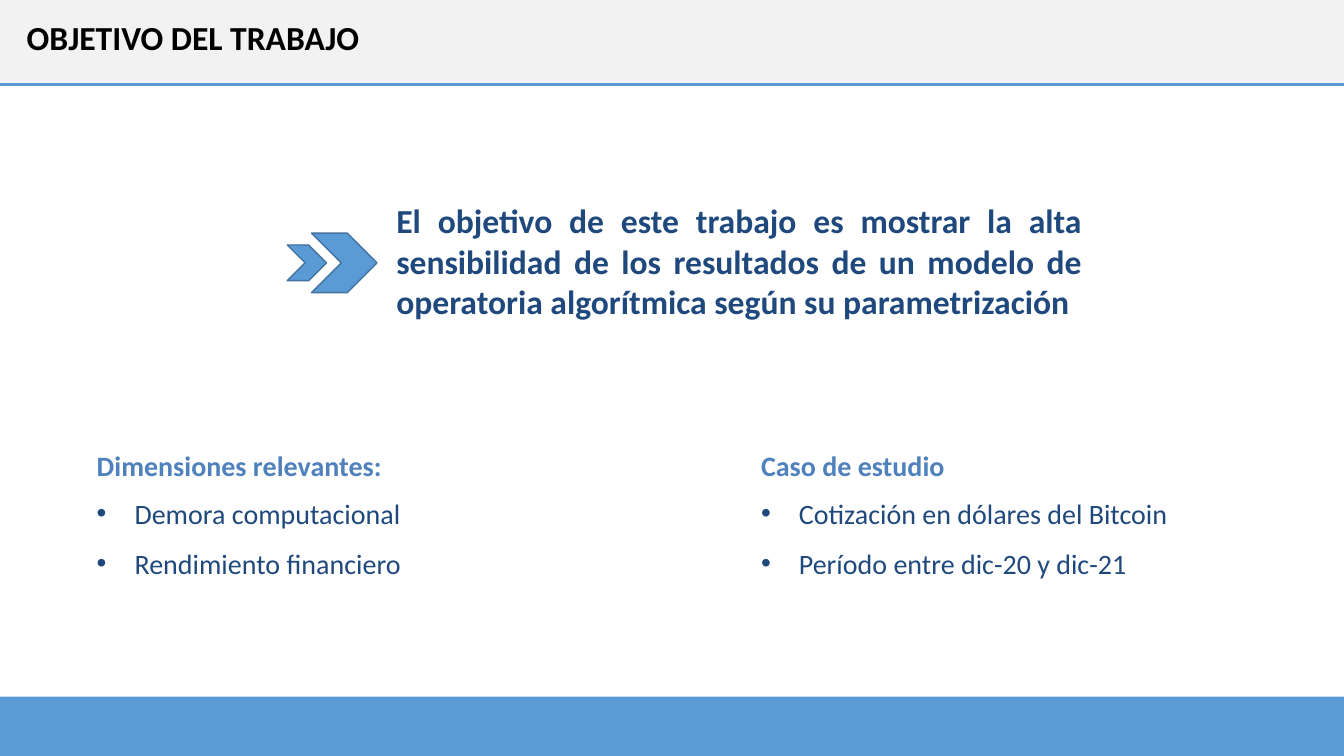
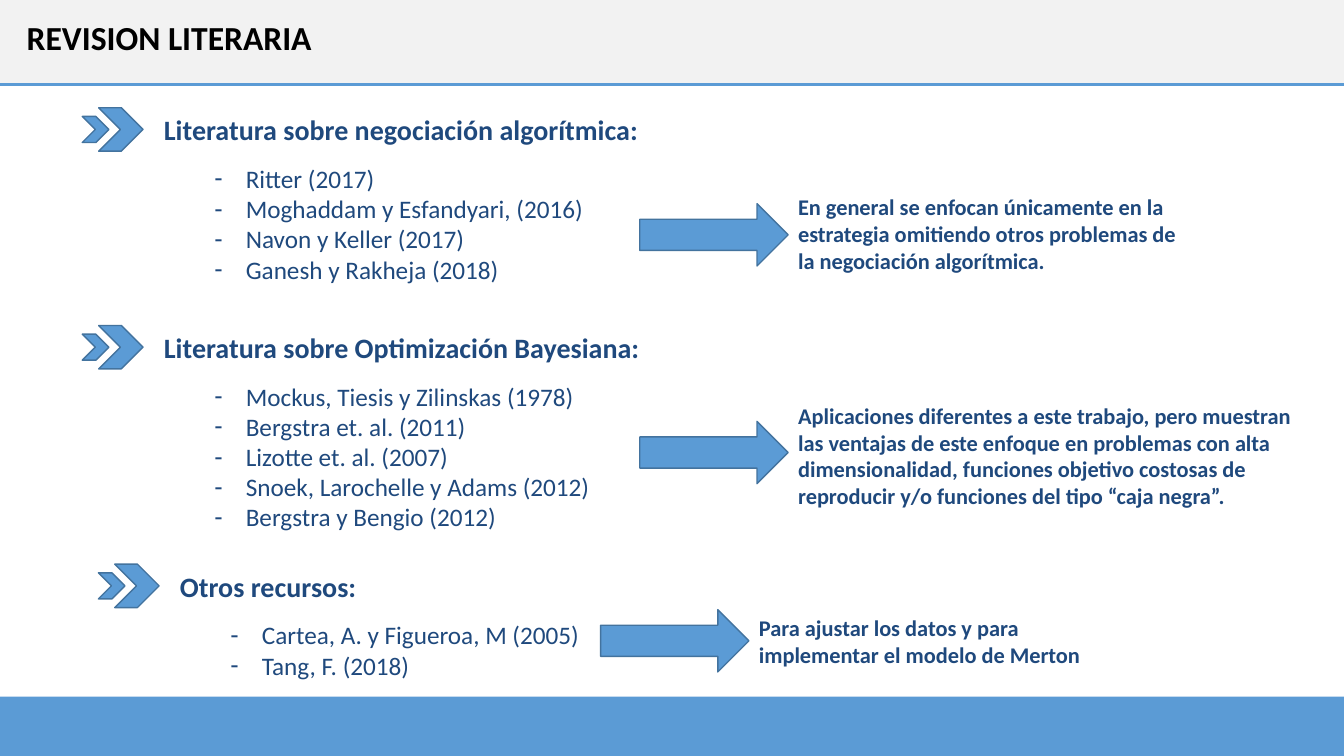
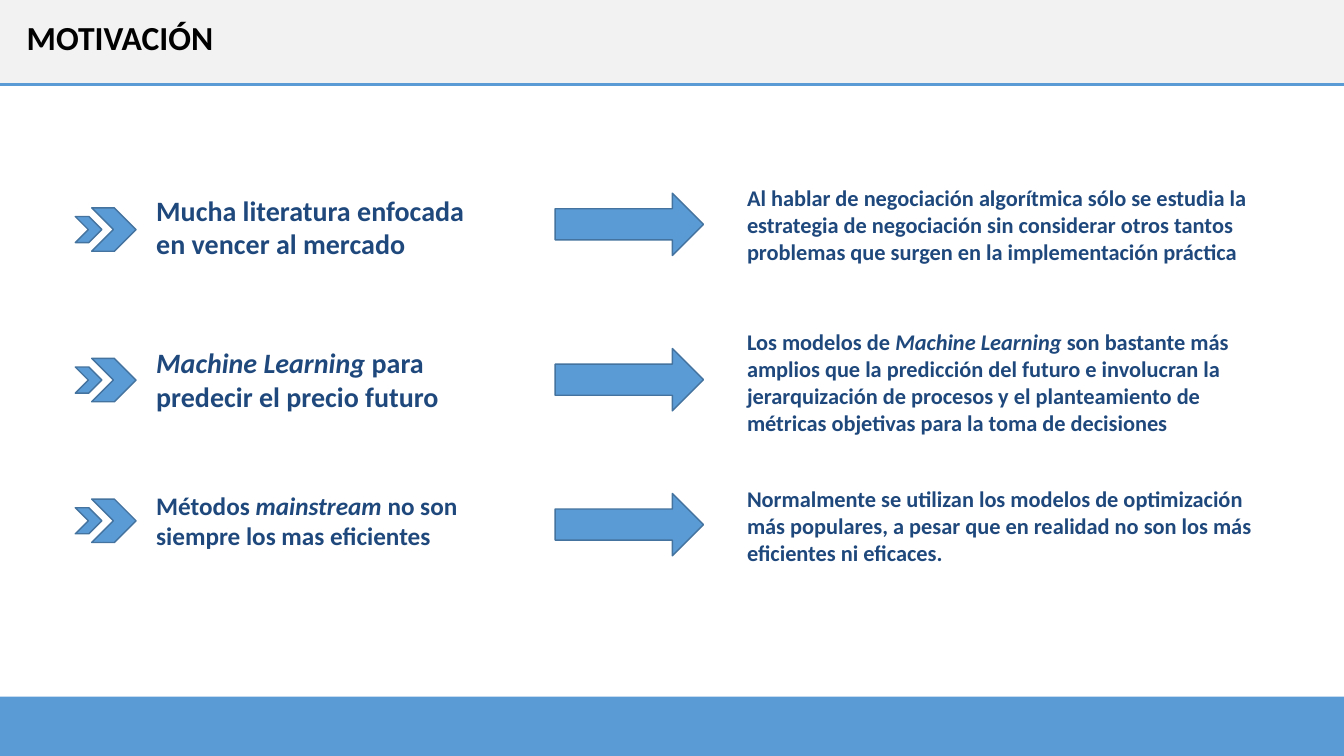
from dataclasses import dataclass
from lxml.etree import SubElement
from pptx import Presentation
from pptx.dml.color import RGBColor
from pptx.enum.shapes import MSO_CONNECTOR as Line, MSO_SHAPE as Kind
from pptx.enum.text import MSO_AUTO_SIZE as Fit, PP_ALIGN as Align
from pptx.oxml.ns import qn
from pptx.util import Pt


@dataclass(frozen=True)
class Theme:
    font: str = "Calibri"
    black: str = "000000"
    navy: str = "1F497D"
    heading_blue: str = "4F81BD"
    accent: str = "5B9BD5"
    outline: str = "43739E"
    band: str = "F2F2F2"
    title_size: int = 24
    heading_size: int = 20
    item_size: int = 18
    note_size: int = 16


@dataclass(frozen=True)
class Style:
    size: int
    color: str
    bold: bool = True
    after: float = 12
    align: Align = Align.LEFT
    bullet: str = ""
    indent: float = 0
    hanging: float = 0


theme = Theme()
title_style = Style(theme.title_size, theme.black, after=0)
goal_style = Style(theme.title_size, theme.navy, align=Align.JUSTIFY)
topic_style = Style(theme.heading_size, theme.heading_blue, after=9.75)
point_style = Style(theme.heading_size, theme.navy, bold=False,
                    bullet="•", indent=27, hanging=27)
heading_style = Style(theme.heading_size, theme.navy)
small_heading_style = Style(theme.item_size, theme.navy)
source_style = Style(theme.item_size, theme.navy, bold=False, after=0,
                     bullet="-", indent=58.5, hanging=22.5)
note_style = Style(theme.note_size, theme.navy)


def draw_shape(page, kind, left, top, width, height, fill, outline=None):
    shape = page.shapes.add_shape(kind, Pt(left), Pt(top), Pt(width), Pt(height))
    shape.shadow.inherit = False
    shape.fill.solid()
    shape.fill.fore_color.rgb = RGBColor.from_string(fill)
    if outline:
        shape.line.color.rgb = RGBColor.from_string(outline)
        shape.line.width = Pt(1)
    else:
        shape.line.fill.background()


def write_text(page, left, top, width, height, paragraphs):
    box = page.shapes.add_textbox(Pt(left), Pt(top), Pt(width), Pt(height))
    frame = box.text_frame
    frame.word_wrap = True
    frame.auto_size = Fit.SHAPE_TO_FIT_TEXT
    for index, (style, text) in enumerate(paragraphs):
        para = frame.add_paragraph() if index else frame.paragraphs[0]
        para.alignment = style.align
        para.space_after = Pt(style.after)
        if style.bullet:
            properties = para._p.get_or_add_pPr()
            properties.set("marL", str(Pt(style.indent)))
            properties.set("indent", str(-Pt(style.hanging)))
            SubElement(properties, qn("a:buFont")).set("typeface", "Arial")
            SubElement(properties, qn("a:buChar")).set("char", style.bullet)
        for position, part in enumerate(text.split("*")):
            if not part:
                continue
            span = para.add_run()
            span.text = part
            span.font.name = theme.font
            span.font.size = Pt(style.size)
            span.font.bold = style.bold
            span.font.italic = position % 2 == 1
            span.font.color.rgb = RGBColor.from_string(style.color)


deck = Presentation()
deck.slide_width, deck.slide_height = Pt(960), Pt(540)

pages = []
for title in ("OBJETIVO DEL TRABAJO", "REVISION LITERARIA", "MOTIVACIÓN"):
    page = deck.slides.add_slide(deck.slide_layouts[6])
    draw_shape(page, Kind.RECTANGLE, 0, 0, 960, 60.5, theme.band)
    draw_shape(page, Kind.RECTANGLE, 0, 497.5, 960, 42.5, theme.accent)
    rule = page.shapes.add_connector(Line.STRAIGHT, 0, Pt(60.5), Pt(960), Pt(60.5))
    rule.line.color.rgb = RGBColor.from_string(theme.accent)
    rule.line.width = Pt(2.25)
    SubElement(rule._element.spPr, qn("a:effectLst"))
    write_text(page, 12, 8.5, 597, 36, [(title_style, title)])
    pages.append(page)
goal_page, literature_page, motivation_page = pages

write_text(goal_page, 276, 139.5, 504, 94.5, [(
    goal_style,
    "El objetivo de este trabajo es mostrar la alta sensibilidad de los resultados "
    "de un modelo de operatoria algorítmica según su parametrización")])

topics = [
    (62, 450, "Dimensiones relevantes:",
     ["Demora computacional", "Rendimiento financiero"]),
    (536.5, 342, "Caso de estudio",
     ["Cotización en dólares del Bitcoin", "Período entre dic-20 y dic-21"]),
]
for left, width, topic, points in topics:
    write_text(goal_page, left, 317, width, 138,
               [(topic_style, topic)] + [(point_style, point) for point in points])

chevrons = [(goal_page, 222.5, 166.5, 46.8, 42.5)]
arrows = []

sections = [
    (70.5, 77, 174, "Literatura sobre negociación algorítmica:",
     ["Ritter (2017)", "Moghaddam y Esfandyari, (2016)",
      "Navon y Keller (2017)", "Ganesh y Rakheja (2018)"],
     457, 145.5, 134.5, 285,
     "En general se enfocan únicamente en la estrategia omitiendo otros problemas "
     "de la negociación algorítmica."),
    (70.5, 232.5, 174, "Literatura sobre Optimización Bayesiana:",
     ["Mockus, Tiesis y Zilinskas (1978)", "Bergstra et. al. (2011)",
      "Lizotte et. al. (2007)", "Snoek, Larochelle y Adams (2012)",
      "Bergstra y Bengio (2012)"],
     457, 301, 283.5, 369.5,
     "Aplicaciones diferentes a este trabajo, pero muestran las ventajas de este "
     "enfoque en problemas con alta dimensionalidad, funciones objetivo costosas de "
     "reproducir y/o funciones del tipo “caja negra”."),
    (82, 403, 87, "Otros recursos:",
     ["Cartea, A. y Figueroa, M (2005)", "Tang, F. (2018)"],
     429, 435.5, 435, 270.5,
     "Para ajustar los datos y para implementar el modelo de Merton"),
]
for (left, top, height, heading, sources,
     arrow_left, arrow_top, note_top, note_width, note) in sections:
    chevrons.append((literature_page, left, top, 31.7, 31))
    write_text(literature_page, left + 39.5, top, 684, height,
               [(heading_style, heading)] + [(source_style, source) for source in sources])
    arrows.append((literature_page, arrow_left, arrow_top))
    write_text(literature_page, arrow_left + 106, note_top, note_width, 65.5,
               [(note_style, note)])

reasons = [
    (148.5, 134.5, 138, 128, heading_style,
     "Mucha literatura enfocada en vencer al mercado",
     "Al hablar de negociación algorítmica sólo se estudia la estrategia de "
     "negociación sin considerar otros tantos problemas que surgen en la "
     "implementación práctica"),
    (256, 243.5, 249, 231, heading_style,
     "*Machine Learning *para predecir el precio futuro",
     "Los modelos de *Machine Learning* son bastante más amplios que la predicción "
     "del futuro e involucran la jerarquización de procesos y el planteamiento de "
     "métricas objetivas para la toma de decisiones"),
    (356.5, 346.5, 352.5, 343, small_heading_style,
     "Métodos *mainstream *no son siempre los mas eficientes",
     "Normalmente se utilizan los modelos de optimización más populares, a pesar que "
     "en realidad no son los más eficientes ni eficaces."),
]
for chevron_top, claim_top, arrow_top, note_top, style, claim, note in reasons:
    chevrons.append((motivation_page, 65.5, chevron_top, 31.7, 31))
    write_text(motivation_page, 104.5, claim_top, 237.5, 55.5, [(style, claim)])
    arrows.append((motivation_page, 396.5, arrow_top))
    write_text(motivation_page, 526.5, note_top, 377.5, 65.5, [(note_style, note)])

for page, left, top, width, height in chevrons:
    draw_shape(page, Kind.CHEVRON, left, top, width, height,
               theme.accent, theme.outline)
    draw_shape(page, Kind.CHEVRON, left - 0.37 * width, top + 0.2 * height,
               0.6 * width, 0.6 * height, theme.accent, theme.outline)

for page, left, top in arrows:
    draw_shape(page, Kind.RIGHT_ARROW, left, top, 106, 44.5,
               theme.accent, theme.outline)

deck.save("out.pptx")
